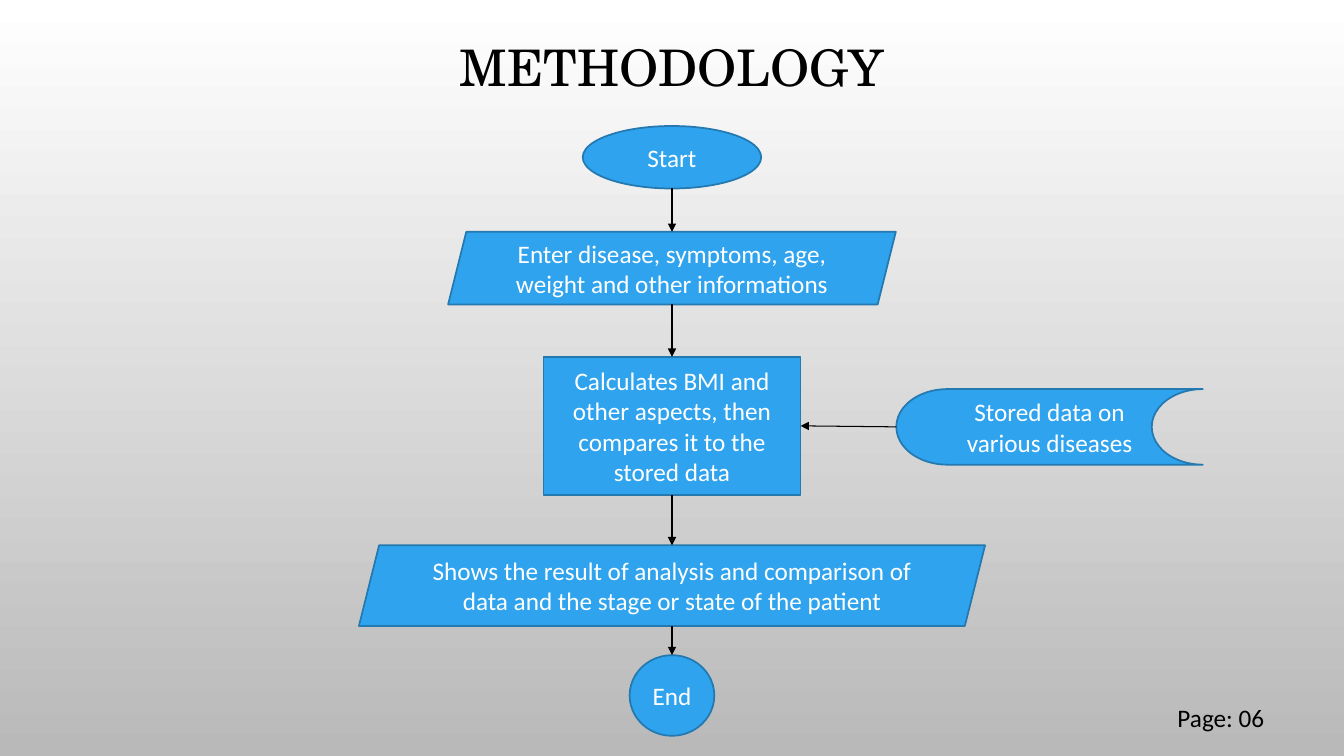
"""Build the Methodology flowchart slide."""
import pptx
import pptx.dml.color
import pptx.enum.shapes
import pptx.enum.text
import pptx.oxml
import pptx.oxml.ns
import pptx.util

Inches = pptx.util.Inches
Pt = pptx.util.Pt
Shape = pptx.enum.shapes.MSO_SHAPE
Align = pptx.enum.text.PP_ALIGN
Anchor = pptx.enum.text.MSO_ANCHOR


def color(hex_string):
    return pptx.dml.color.RGBColor.from_string(hex_string)


def write(shape, text, size, font_name, hex_string, alignment, anchor):
    frame = shape.text_frame
    frame.text = text
    frame.vertical_anchor = anchor
    paragraph = frame.paragraphs[0]
    paragraph.alignment = alignment
    paragraph.font.size = Pt(size)
    paragraph.font.name = font_name
    paragraph.font.color.rgb = color(hex_string)
    return paragraph


presentation = pptx.Presentation()
presentation.slide_width = Inches(13.33)
presentation.slide_height = Inches(7.5)
slide = presentation.slides.add_slide(presentation.slide_layouts[6])

background = slide.background.fill
background.gradient()
background.gradient_angle = 270
for stop, position, hex_string in zip(background.gradient_stops, (0, 1), ("FFFFFF", "B9B9B9")):
    stop.position = position
    stop.color.rgb = color(hex_string)

title = slide.shapes.add_textbox(Inches(1), Inches(0.32), Inches(11.33), Inches(0.75))
title.text_frame.word_wrap = True
heading = write(title, "METHODOLOGY", 36, "TeX Gyre Schola", "000000", Align.CENTER, Anchor.MIDDLE)
heading.line_spacing = 0.9

center = 6.665
nodes = {
    "start": (Shape.OVAL, center, 1.25, 1.77, 0.62, "Start"),
    "input": (Shape.PARALLELOGRAM, center, 2.3, 4.44, 0.72,
              "Enter disease, symptoms, age, weight and other informations"),
    "process": (Shape.RECTANGLE, center, 3.54, 2.55, 1.37,
                "Calculates BMI and other aspects, then compares it to the stored data"),
    "storage": (Shape.FLOWCHART_STORED_DATA, 10.41, 3.86, 3.04, 0.75,
                "Stored data on various diseases"),
    "result": (Shape.PARALLELOGRAM, center, 5.41, 6.21, 0.8,
               "Shows the result of analysis and comparison of data "
               "and the stage or state of the patient"),
    "end": (Shape.FLOWCHART_CONNECTOR, center, 6.5, 0.84, 0.8, "End"),
}
shapes = {}
for name, (kind, middle, top, width, height, text) in nodes.items():
    shape = slide.shapes.add_shape(
        kind, Inches(middle - width / 2), Inches(top), Inches(width), Inches(height))
    shape.shadow.inherit = False
    shape.fill.solid()
    shape.fill.fore_color.rgb = color("2FA3EE")
    shape.line.color.rgb = color("2379B0")
    shape.line.width = Pt(1.25)
    shape.text_frame.word_wrap = True
    write(shape, text, 18, "Calibri", "FFFFFF", Align.CENTER, Anchor.MIDDLE)
    shapes[name] = shape

flow = ["start", "input", "process", "result", "end"]
for source, target in [*zip(flow, flow[1:]), ("storage", "process")]:
    first, last = shapes[source], shapes[target]
    if source == "storage":
        begin = first.left, first.top + first.height // 2
        end = last.left + last.width, last.top + last.height // 2
        target_side = 3
    else:
        begin = Inches(center), first.top + first.height
        end = Inches(center), last.top
        target_side = 0
    arrow = slide.shapes.add_connector(pptx.enum.shapes.MSO_CONNECTOR.STRAIGHT, *begin, *end)
    if source == "process":
        arrow.begin_connect(first, 2)
    if target == "process":
        arrow.end_connect(last, target_side)
    arrow.line.color.rgb = color("000000")
    arrow.line.width = Pt(0.75)
    line = arrow.line._get_or_add_ln()
    pptx.oxml.ns.qn("a:tailEnd")
    line.append(pptx.oxml.parse_xml(
        f'<a:tailEnd {pptx.oxml.ns.nsdecls("a")} type="triangle"/>'))
    line.addnext(pptx.oxml.parse_xml(f'<a:effectLst {pptx.oxml.ns.nsdecls("a")}/>'))

page = slide.shapes.add_textbox(Inches(11.58), Inches(6.92), Inches(1.11), Inches(0.4))
page.text_frame.word_wrap = False
page.text_frame.auto_size = pptx.enum.text.MSO_AUTO_SIZE.SHAPE_TO_FIT_TEXT
write(page, "Page: 06", 18, "Calibri", "000000", Align.LEFT, Anchor.TOP)

presentation.save("out.pptx")
